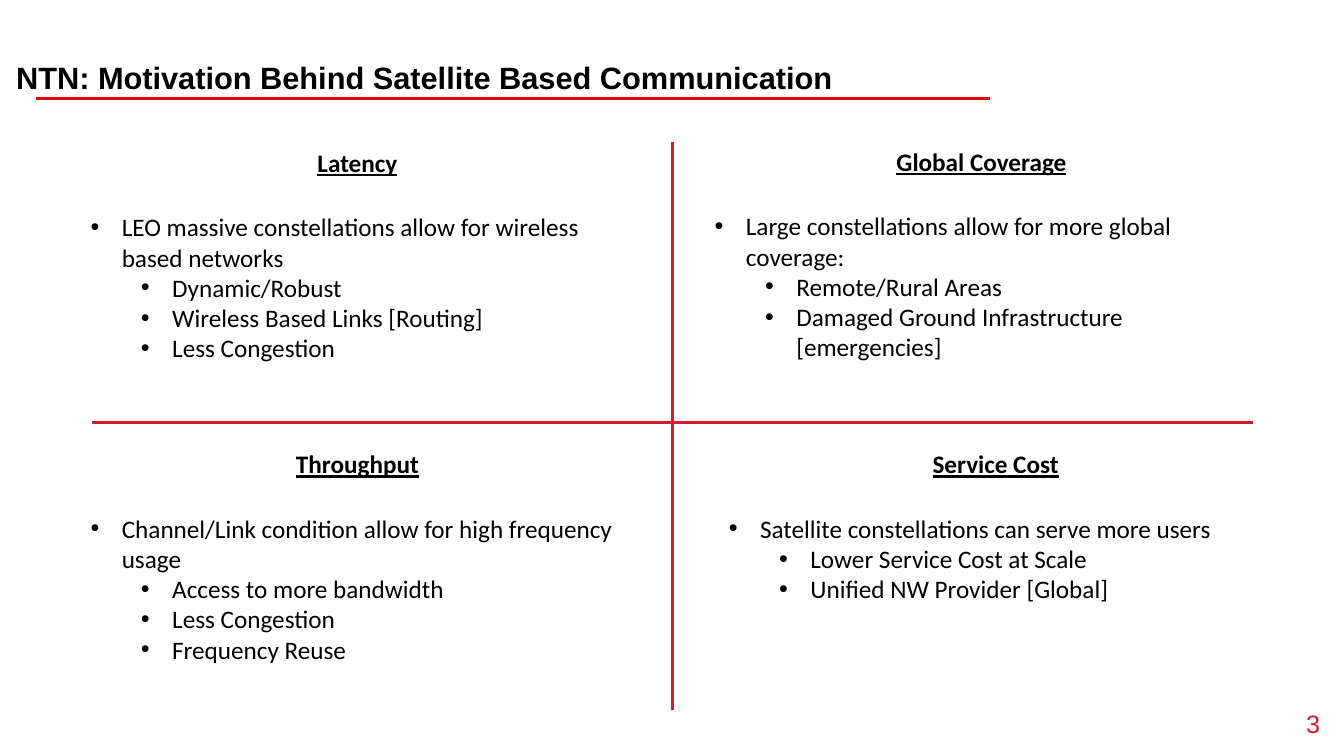
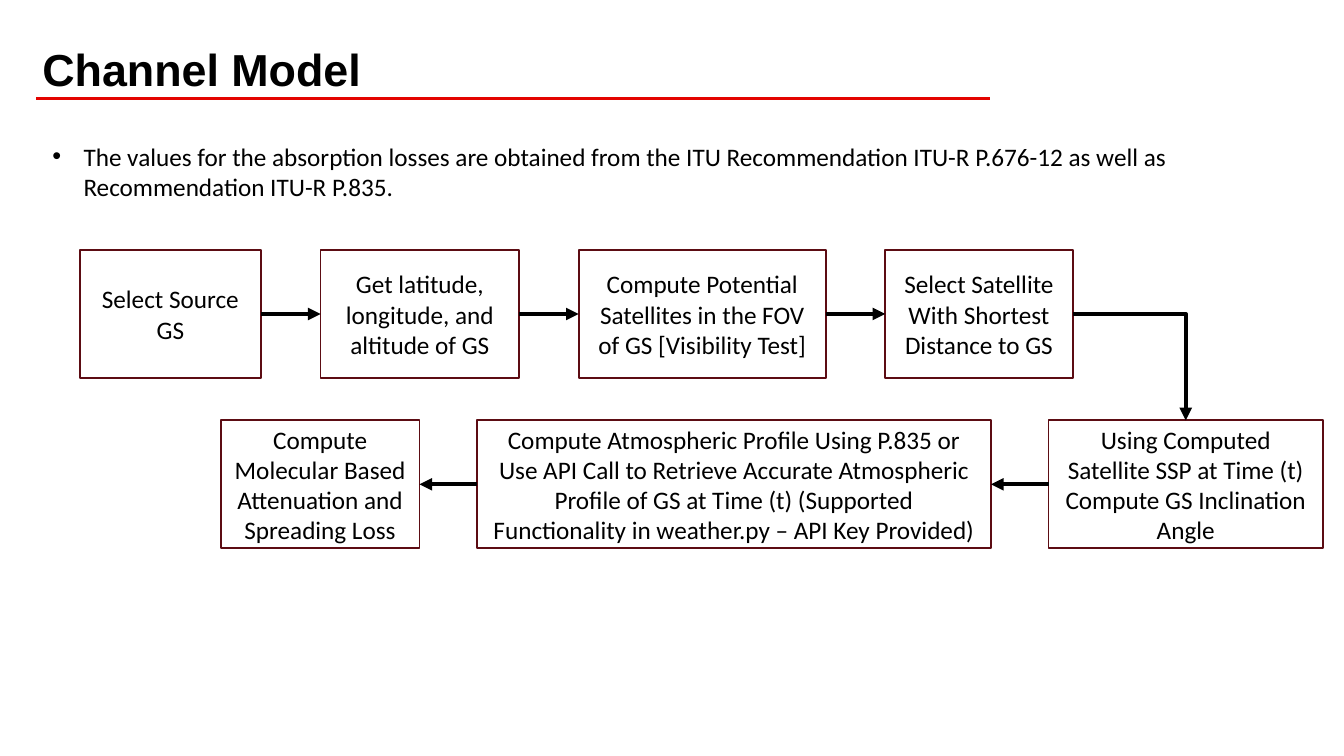
from dataclasses import dataclass
from typing import Optional

from lxml import etree
from pptx import Presentation
from pptx import util as u
from pptx.dml.color import RGBColor
from pptx.enum import shapes, text
from pptx.oxml import ns

Inches, Pt = u.Inches, u.Pt
COLORS = {"black": "000000", "rule": "E30300", "accent": "D31B2B",
          "number": "D41B2B", "box": "5C0C13"}
BODY_FONT, TITLE_FONT = "Calibri", "Arial"
INDENT, LEVEL_STEP = 0.31, 0.5
STRAIGHT, ELBOW = shapes.MSO_CONNECTOR.STRAIGHT, shapes.MSO_CONNECTOR.ELBOW
TOP, LEFT, RIGHT = 0, 1, 3
CENTER = text.PP_ALIGN.CENTER


@dataclass
class Quadrant:
    left: float
    top: float
    heading: str
    point: str
    details: list[str]


@dataclass
class Step:
    width: float
    label: str


QUADRANTS = [
    Quadrant(1.02, 1.41, "Latency",
             "LEO massive constellations allow for wireless based networks",
             ["Dynamic/Robust", "Wireless Based Links [Routing]", "Less Congestion"]),
    Quadrant(7.21, 1.4, "Global Coverage",
             "Large constellations allow for more global coverage:",
             ["Remote/Rural Areas", "Damaged Ground Infrastructure [emergencies]"]),
    Quadrant(1.02, 4.4, "Throughput",
             "Channel/Link condition allow for high frequency usage",
             ["Access to more bandwidth", "Less Congestion", "Frequency Reuse"]),
    Quadrant(7.35, 4.4, "Service Cost",
             "Satellite constellations can serve more users",
             ["Lower Service Cost at Scale", "Unified NW Provider [Global]"]),
]

# Both rows are listed from left to right; the lower one flows leftwards
UPPER_STEPS = [
    Step(1.8, "Select Source GS"),
    Step(1.97, "Get latitude, longitude, and altitude of GS"),
    Step(2.45, "Compute Potential Satellites in the FOV of GS [Visibility Test]"),
    Step(1.86, "Select Satellite With Shortest Distance to GS"),
]
LOWER_STEPS = [
    Step(1.97, "Compute Molecular Based Attenuation and Spreading Loss"),
    Step(5.1, "Compute Atmospheric Profile Using P.835 or Use API Call to Retrieve "
              "Accurate Atmospheric Profile of GS at Time (t) (Supported "
              "Functionality in weather.py – API Key Provided)"),
    Step(2.72, "Using Computed Satellite SSP at Time (t) Compute GS Inclination Angle"),
]


def rgb(name: str) -> RGBColor:
    return RGBColor.from_string(COLORS[name])


def add_run(p, content: str, size: float = 18, font: str = BODY_FONT,
            color: str = "black", bold: bool = False, underline: bool = False) -> None:
    r = p.add_run()
    r.text = content
    r.font.size, r.font.name = Pt(size), font
    r.font.color.rgb = rgb(color)
    if bold:
        r.font.bold = True
    if underline:
        r.font.underline = True


def add_box(s, left: float, top: float, width: float, height: float,
            anchor=text.MSO_ANCHOR.TOP, grow: bool = False):
    tf = s.shapes.add_textbox(Inches(left), Inches(top),
                              Inches(width), Inches(height)).text_frame
    tf.word_wrap = True
    tf.vertical_anchor = anchor
    if grow:
        tf.auto_size = text.MSO_AUTO_SIZE.SHAPE_TO_FIT_TEXT
    return tf


def add_line(s, x1: float, y1: float, x2: float, y2: float, color: str,
             width: float, kind=STRAIGHT):
    c = s.shapes.add_connector(kind, Inches(x1), Inches(y1), Inches(x2), Inches(y2))
    c.line.color.rgb = rgb(color)
    c.line.width = Pt(width)
    etree.SubElement(c._element.spPr, ns.qn("a:effectLst"))
    return c


def add_arrow(s, start, start_side: int, end, end_side: int, kind=STRAIGHT) -> None:
    c = add_line(s, 0, 0, 1, 1, "black", 3, kind)
    c.begin_connect(start, start_side)
    c.end_connect(end, end_side)
    etree.SubElement(c.line._get_or_add_ln(), ns.qn("a:tailEnd"), type="triangle")
    if kind == ELBOW:  # a single corner
        c._element.spPr.find(ns.qn("a:prstGeom")).set("prst", "bentConnector2")


def add_bullets(s, left: float, top: float, width: float, height: float,
                point: str, details: Optional[list[str]] = None) -> None:
    tf = add_box(s, left, top, width, height, grow=True)
    items = [(0, point)] + [(1, detail) for detail in details or []]
    for i, (level, content) in enumerate(items):
        p = tf.paragraphs[0] if i == 0 else tf.add_paragraph()
        p.level = level
        pPr = p._p.get_or_add_pPr()
        pPr.set("marL", str(Inches(INDENT + level * LEVEL_STEP)))
        pPr.set("indent", str(-Inches(INDENT)))
        etree.SubElement(pPr, ns.qn("a:buFont"), typeface="Arial")
        etree.SubElement(pPr, ns.qn("a:buChar"), char="•")
        add_run(p, content)


def add_slide(prs, title: str, left: float, width: float, size: float):
    """Blank slide with the shared rule and title style."""
    s = prs.slides.add_slide(prs.slide_layouts[6])
    add_line(s, 0.36, 0.98, 9.82, 0.98, "rule", 2)
    tf = add_box(s, left, 0.38, width, 0.57, text.MSO_ANCHOR.BOTTOM)
    tf.margin_left = tf.margin_right = tf.margin_top = tf.margin_bottom = 0
    p = tf.paragraphs[0]
    p.line_spacing = 0.9
    add_run(p, title, size, TITLE_FONT, bold=True)
    return s


def add_quadrant(s, q: Quadrant) -> None:
    p = add_box(s, q.left, q.top, 5.05, 0.4, grow=True).paragraphs[0]
    p.alignment = CENTER
    add_run(p, q.heading, bold=True, underline=True)
    height = 1.62 if len(q.details) > 2 or q.top < 4 else 1.01
    add_bullets(s, q.left - 0.22, q.top + 0.64, 5.56, height, q.point, q.details)


def add_step_row(s, left: float, top: float, gap: float, steps: list[Step]) -> list:
    boxes = []
    for step in steps:
        sp = s.shapes.add_shape(shapes.MSO_SHAPE.RECTANGLE, Inches(left), Inches(top),
                                Inches(step.width), Inches(1.27))
        sp.shadow.inherit = False
        sp.fill.background()
        sp.line.color.rgb = rgb("box")
        sp.line.width = Pt(1.25)
        tf = sp.text_frame
        tf.word_wrap = True
        tf.vertical_anchor = text.MSO_ANCHOR.MIDDLE
        p = tf.paragraphs[0]
        p.alignment = CENTER
        add_run(p, step.label)
        boxes.append(sp)
        left += step.width + gap
    return boxes


def build_motivation(prs) -> None:
    s = add_slide(prs, "NTN: Motivation Behind Satellite Based Communication",
                  0.16, 9.72, 22)
    # Slide number
    p = add_box(s, 12.3, 6.83, 0.89, 0.55, text.MSO_ANCHOR.BOTTOM).paragraphs[0]
    p.alignment = text.PP_ALIGN.RIGHT
    add_run(p, "3", font=TITLE_FONT, color="number")
    # Cross and its four quadrants
    add_line(s, 6.67, 1.41, 6.67, 7.04, "accent", 2.25)
    add_line(s, 0.91, 4.19, 12.43, 4.19, "accent", 2.25)
    for q in QUADRANTS:
        add_quadrant(s, q)


def build_channel_model(prs) -> None:
    s = add_slide(prs, "Channel Model", 0.42, 9.2, 32)
    add_bullets(s, 0.42, 1.35, 12.22, 1.01,
                "The values for the absorption losses are obtained from the ITU "
                "Recommendation ITU-R P.676-12 as well as Recommendation ITU-R P.835.")
    # Flow chart
    upper = add_step_row(s, 0.79, 2.48, 0.59, UPPER_STEPS)
    lower = add_step_row(s, 2.19, 4.17, 0.57, LOWER_STEPS)
    for start, end in zip(upper, upper[1:]):
        add_arrow(s, start, RIGHT, end, LEFT)
    add_arrow(s, upper[-1], RIGHT, lower[-1], TOP, ELBOW)
    for end, start in zip(lower, lower[1:]):
        add_arrow(s, start, LEFT, end, RIGHT)


def main() -> None:
    prs = Presentation()
    prs.slide_width, prs.slide_height = Inches(13.33), Inches(7.5)
    build_motivation(prs)
    build_channel_model(prs)
    prs.save("out.pptx")


if __name__ == "__main__":
    main()
